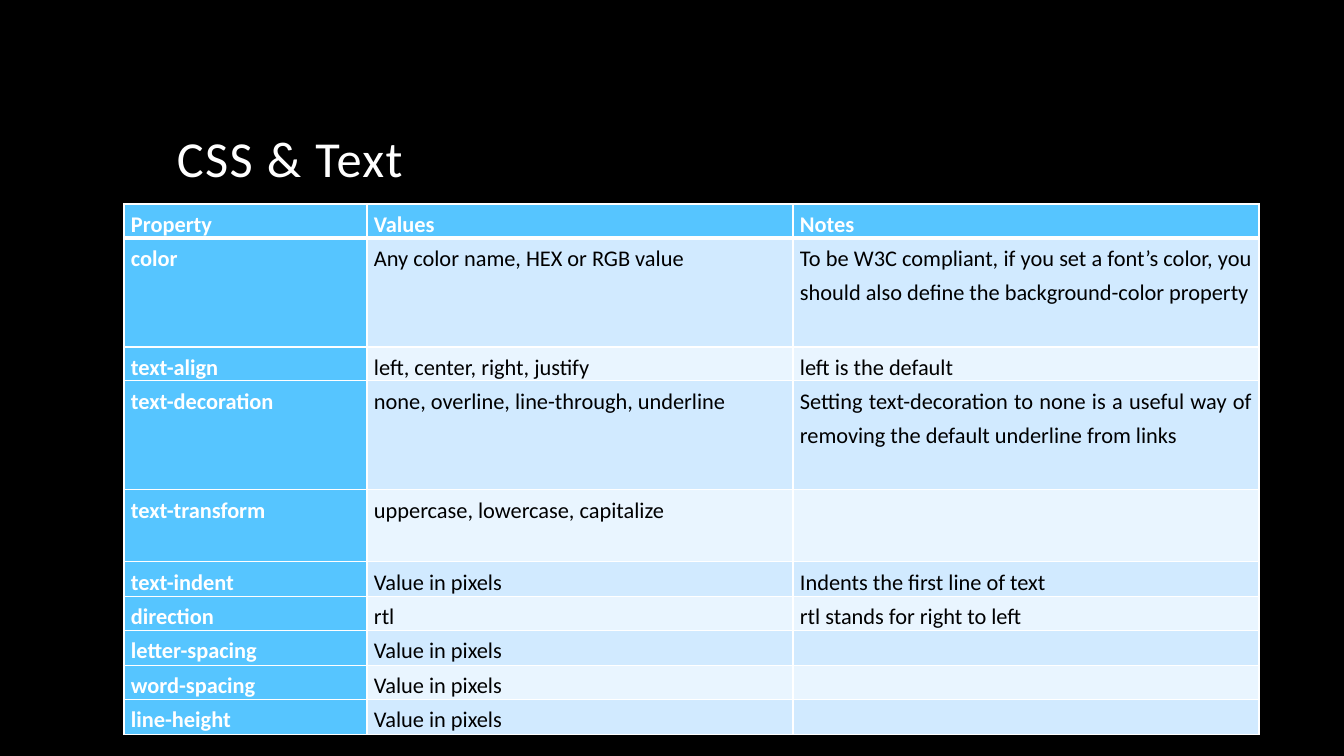
from dataclasses import dataclass

from lxml.etree import SubElement
from pptx import Presentation
from pptx.dml.color import RGBColor as RGB
from pptx.enum.text import MSO_ANCHOR as Anchor, PP_ALIGN as Align
from pptx.oxml.ns import qn
from pptx.util import Pt

TITLE = "CSS & Text"
HEADINGS = ("Property", "Values", "Notes")
# Row height in px, then the property, its values and the notes
PROPERTIES = [
    (109, "color", "Any color name, HEX or RGB value",
     "To be W3C compliant, if you set a font’s color, "
     "you should also define the background-color property"),
    (34, "text-align", "left, center, right, justify", "left is the default"),
    (109, "text-decoration", "none, overline, line-through, underline",
     "Setting text-decoration to none is a useful way of "
     "removing the default underline from links"),
    (72, "text-transform", "uppercase, lowercase, capitalize", ""),
    (35, "text-indent", "Value in pixels", "Indents the first line of text"),
    (34, "direction", "rtl", "rtl stands for right to left"),
    (35, "letter-spacing", "Value in pixels", ""),
    (34, "word-spacing", "Value in pixels", ""),
    (35, "line-height", "Value in pixels", ""),
]

SLIDE_SIZE = (1344, 756)
TITLE_BOX = (167, 42, 1008, 151)
TABLE_ORIGIN = (124, 204)
COLUMN_WIDTHS = (243, 426, 466)
HEADING_HEIGHT = 34
CELL_INSET = 7


@dataclass(frozen=True)
class Theme:
    font: str = "Calibri"
    title_size: int = 36
    cell_size: int = 16
    background: str = "000000"
    light: str = "FFFFFF"
    dark: str = "000000"
    accent: str = "56C5FF"
    bands: tuple = ("D1EAFF", "E9F5FF")
    border: int = 1
    heading_rule: int = 3


THEME = Theme()


def px(length):
    """Turn px, at 100.8 to the inch, into EMU."""
    return round(length * 914400 / 100.8)


def add_run(paragraph, text, size, color, bold=False):
    run = paragraph.add_run()
    run.text = text
    run.font.name = THEME.font
    run.font.size = Pt(size)
    run.font.bold = bold
    run.font.color.rgb = RGB.from_string(color)
    return run


def add_title(slide):
    frame = slide.shapes.add_textbox(*map(px, TITLE_BOX)).text_frame
    frame.word_wrap = True
    frame.vertical_anchor = Anchor.BOTTOM
    line = frame.paragraphs[0]
    line.line_spacing = 0.9
    run = add_run(line, TITLE, THEME.title_size, THEME.light)
    run.font._element.set("spc", "100")


def set_borders(cell, top, bottom):
    properties = cell._tc.get_or_add_tcPr()
    sides = {"L": THEME.border, "R": THEME.border, "T": top, "B": bottom}
    for side, width in sides.items():
        edge = SubElement(properties, qn(f"a:ln{side}"), w=str(Pt(width)))
        fill = SubElement(edge, qn("a:solidFill"))
        SubElement(fill, qn("a:srgbClr"), val=THEME.light)


def fill_cell(cell, text, row, column):
    heading = row == 0
    strong = heading or column == 0
    set_borders(cell,
                top=THEME.heading_rule if row == 1 else THEME.border,
                bottom=THEME.heading_rule if heading else THEME.border)
    cell.fill.solid()
    cell.fill.fore_color.rgb = RGB.from_string(
        THEME.accent if strong else THEME.bands[(row - 1) % 2])
    cell.margin_left = cell.margin_right = px(CELL_INSET)
    cell.margin_top = cell.margin_bottom = 0
    if text:
        line = cell.text_frame.paragraphs[0]
        line.alignment = Align.JUSTIFY
        line.line_spacing = 1.25
        add_run(line, text, THEME.cell_size,
                THEME.light if strong else THEME.dark, strong)


def add_property_table(slide):
    rows = [(HEADING_HEIGHT, *HEADINGS), *PROPERTIES]
    size = (sum(COLUMN_WIDTHS), sum(height for height, *_ in rows))
    table = slide.shapes.add_table(
        len(rows), len(HEADINGS), *map(px, TABLE_ORIGIN + size)).table
    for column, width in zip(table.columns, COLUMN_WIDTHS):
        column.width = px(width)
    for r, (height, *texts) in enumerate(rows):
        table.rows[r].height = px(height)
        for c, text in enumerate(texts):
            fill_cell(table.cell(r, c), text, r, c)


def main():
    deck = Presentation()
    deck.slide_width, deck.slide_height = map(px, SLIDE_SIZE)
    slide = deck.slides.add_slide(deck.slide_layouts[6])
    slide.background.fill.solid()
    slide.background.fill.fore_color.rgb = RGB.from_string(THEME.background)
    add_title(slide)
    add_property_table(slide)
    deck.save("out.pptx")


if __name__ == "__main__":
    main()
